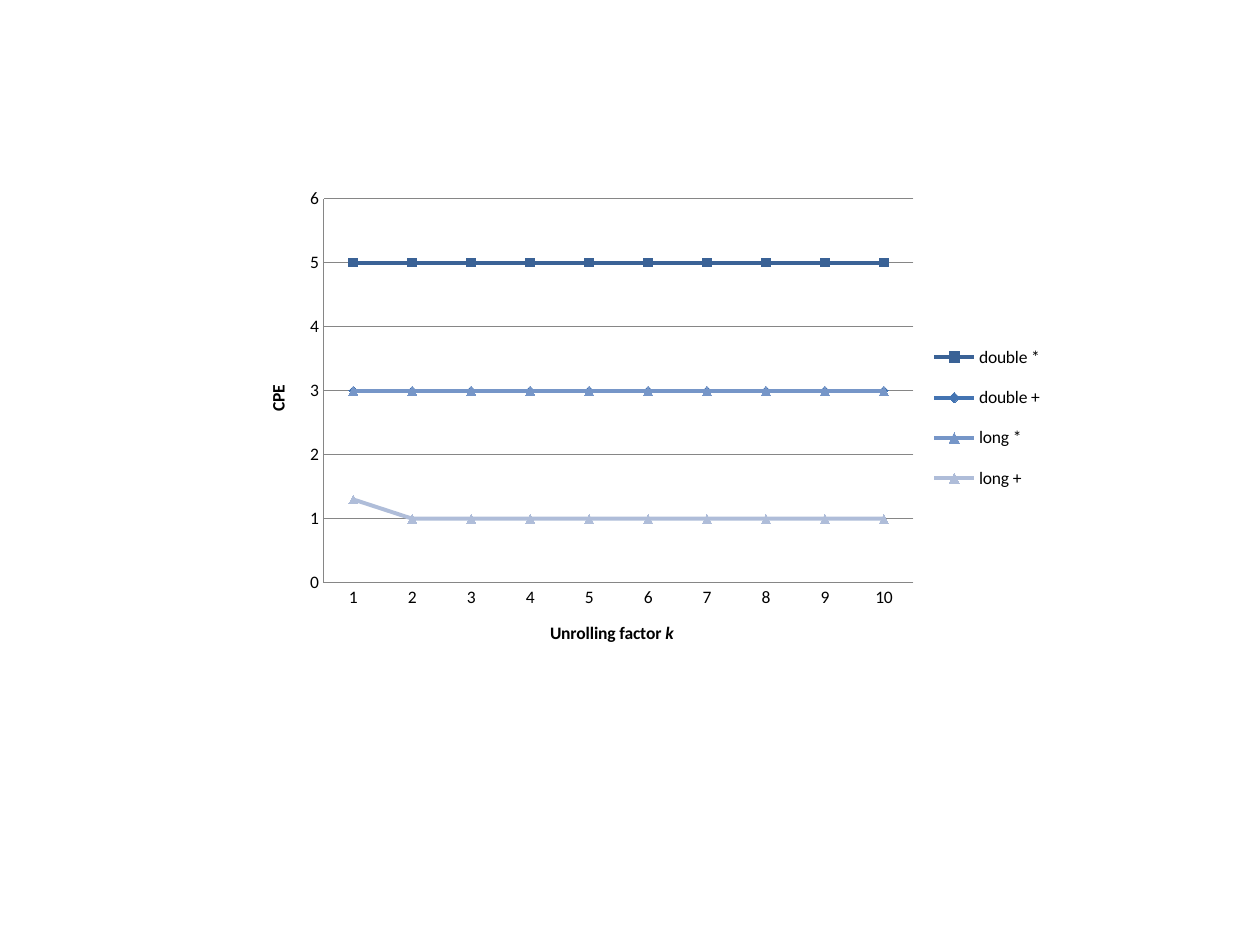
from lxml import etree
from pptx import Presentation
from pptx.chart.data import CategoryChartData
from pptx.dml.color import RGBColor
from pptx.enum.chart import XL_CHART_TYPE as ChartType, XL_LEGEND_POSITION as LegendPosition
from pptx.enum.chart import XL_MARKER_STYLE as Marker, XL_TICK_MARK as TickMark
from pptx.oxml.ns import qn
from pptx.util import Inches, Pt

COLORS = {
    "double *": "3A6296",
    "double +": "4474B2",
    "long *": "7696C8",
    "long +": "AFBDD9",
    "axis": "868686",
    "text": "000000",
}
CPE = {
    "double *": ([5] * 10, Marker.SQUARE),
    "double +": ([3] * 10, Marker.DIAMOND),
    "long *": ([3] * 10, Marker.TRIANGLE),
    "long +": ([1.3] + [1] * 9, Marker.TRIANGLE),
}


def place(parent, index, x, y, w, h, inner=False):
    for old in parent.findall(qn("c:layout")):
        parent.remove(old)
    layout = etree.Element(qn("c:layout"))
    manual = etree.SubElement(layout, qn("c:manualLayout"))
    settings = [("layoutTarget", "inner")] if inner else []
    settings += [("xMode", "edge"), ("yMode", "edge"), ("x", x), ("y", y), ("w", w), ("h", h)]
    for tag, value in settings:
        etree.SubElement(manual, qn(f"c:{tag}")).set("val", str(value))
    parent.insert(index, layout)


prs = Presentation()
prs.slide_width, prs.slide_height = Inches(10), Inches(7.5)
slide = prs.slides.add_slide(prs.slide_layouts[6])

unrolling = CategoryChartData()
unrolling.categories = [str(k) for k in range(1, 11)]
for name, (values, _) in CPE.items():
    unrolling.add_series(name, values)

chart = slide.shapes.add_chart(ChartType.LINE_MARKERS, Inches(1.92), Inches(1.42),
                               Inches(6.5), Inches(3.91), unrolling).chart
chart.has_title = False
chart.font.name = "Calibri"
chart.font.size = Pt(10)
chart.font.color.rgb = RGBColor.from_string(COLORS["text"])
chart.plots[0].vary_by_categories = False
place(chart.plots[0]._element.getparent(), 0, 0.1, 0.04, 0.72, 0.78, inner=True)

chart.has_legend = True
chart.legend.position = LegendPosition.RIGHT
chart.legend.include_in_layout = False
place(chart.legend._element, 1, 0.83, 0.3, 0.16, 0.37)

for series in chart.plots[0].series:
    color = RGBColor.from_string(COLORS[series.name])
    series.smooth = False
    series.format.line.width = Pt(2.25)
    series.format.line.color.rgb = color
    series.marker.style = CPE[series.name][1]
    series.marker.size = 5
    series.marker.format.fill.solid()
    series.marker.format.fill.fore_color.rgb = color
    series.marker.format.line.color.rgb = color

cpe_axis, factor_axis = chart.value_axis, chart.category_axis
cpe_axis.minimum_scale, cpe_axis.maximum_scale, cpe_axis.major_unit = 0, 6, 1
cpe_axis.has_major_gridlines = True
factor_axis.has_major_gridlines = False
for axis, parts in ((cpe_axis, ["CPE"]), (factor_axis, ["Unrolling factor ", "k"])):
    axis.major_tick_mark = axis.minor_tick_mark = TickMark.NONE
    title = axis.axis_title.text_frame.paragraphs[0]
    title.font.bold = True
    title.font.size = Pt(10)
    for part in parts:
        run = title.add_run()
        run.text = part
        run.font.italic = part == "k"
for line in (cpe_axis.format.line, factor_axis.format.line, cpe_axis.major_gridlines.format.line):
    line.width = Pt(0.75)
    line.color.rgb = RGBColor.from_string(COLORS["axis"])

prs.save("out.pptx")
